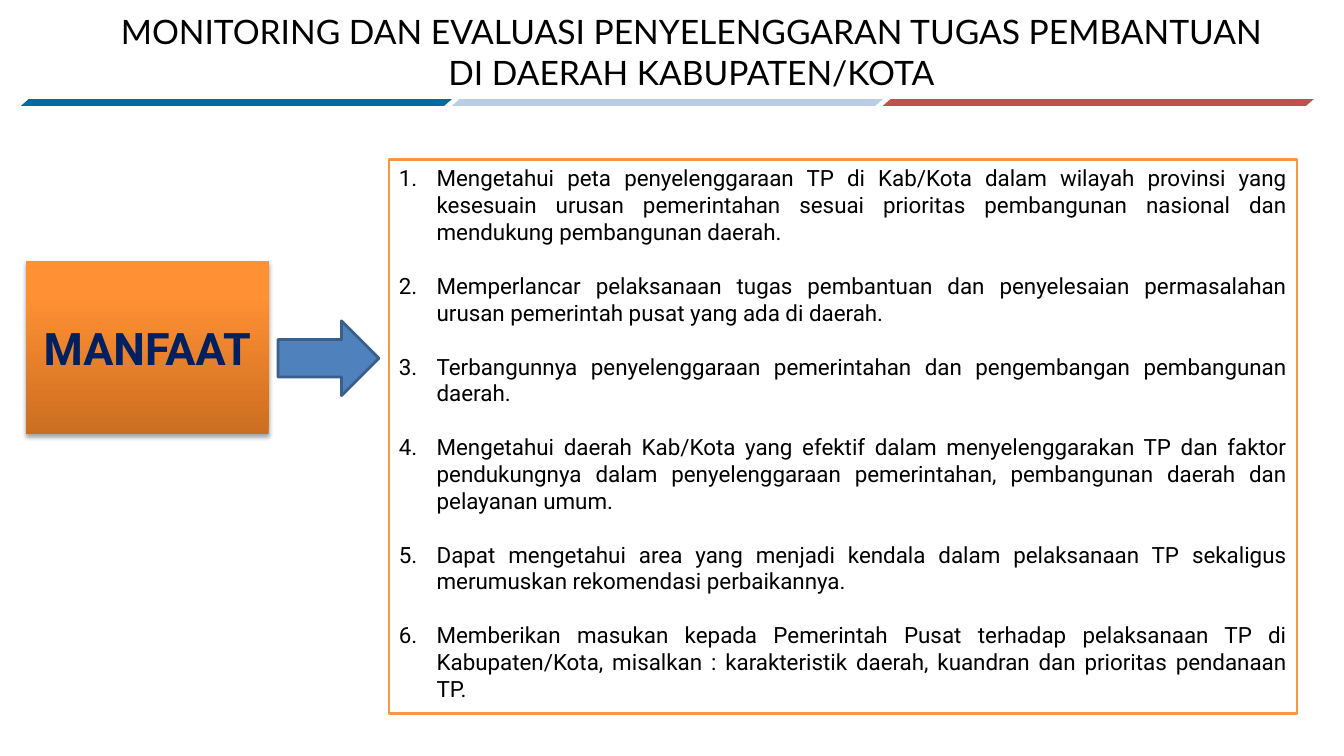
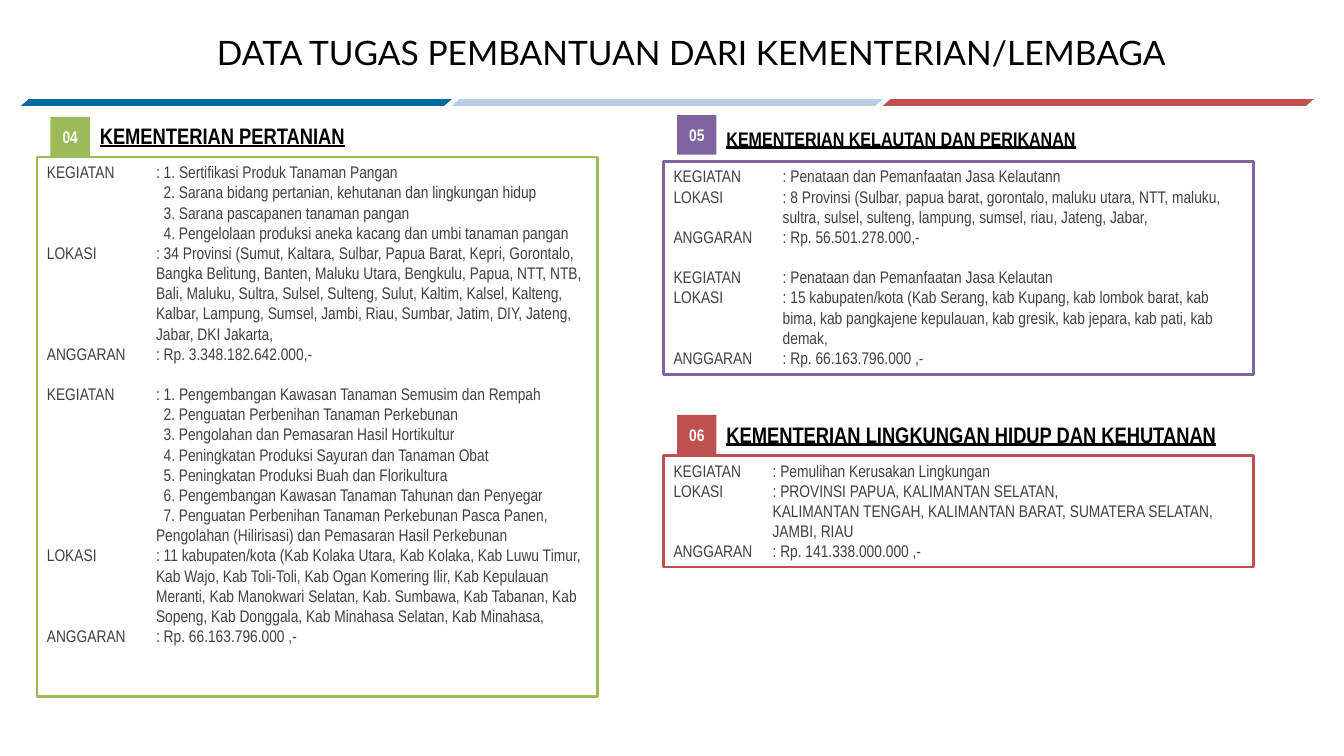
from dataclasses import dataclass

from lxml import etree
from pptx import Presentation
from pptx.dml.color import RGBColor
from pptx.enum.shapes import MSO_SHAPE
from pptx.enum.text import MSO_ANCHOR, PP_ALIGN
from pptx.oxml.ns import qn
from pptx.util import Inches, Pt

RECT = MSO_SHAPE.RECTANGLE
ARROW = MSO_SHAPE.RIGHT_ARROW
BAND = MSO_SHAPE.PARALLELOGRAM
TOP, MIDDLE = MSO_ANCHOR.TOP, MSO_ANCHOR.MIDDLE
LEFT, CENTER, JUSTIFY = PP_ALIGN.LEFT, PP_ALIGN.CENTER, PP_ALIGN.JUSTIFY

WIDTH, HEIGHT = Inches(13.33), Inches(7.5)
COLUMNS, ROWS = 160, 90


@dataclass(frozen=True)
class Style:
    size: float
    font: str
    color: str
    bold: bool = False
    underline: bool = False


@dataclass(frozen=True)
class Theme:
    white: str = "FFFFFF"
    green: str = "9BBB59"
    purple: str = "8064A2"
    red: str = "C0504D"
    orange: str = "F79646"
    arrow: str = "4F81BD"
    arrow_edge: str = "3A5F8C"
    shadow: str = "000000"
    bands: tuple = ("016AA3", "B9CDE5", "C0504D")
    benefit_gradient: tuple = ((0, "CC6E20"), (0.8, "FF9034"))
    title: Style = Style(24, "Lato", "000000")
    benefit: Style = Style(32, "Roboto", "002060", bold=True)
    item: Style = Style(16, "Roboto", "000000")
    detail: Style = Style(12, "Arial Narrow", "404040")
    tag: Style = Style(12, "Arial Narrow", "FFFFFF", bold=True)
    heading: Style = Style(16, "Arial Narrow", "000000", True, True)
    small_heading: Style = Style(14, "Arial Narrow", "000000", True, True)
    item_gap: float = 19.2
    record_gap: float = 14.4


THEME = Theme()

BENEFITS = (
    "Mengetahui peta penyelenggaraan TP di Kab/Kota dalam wilayah provinsi yang kesesuain urusan "
    "pemerintahan sesuai prioritas pembangunan nasional dan mendukung pembangunan daerah.",
    "Memperlancar pelaksanaan tugas pembantuan dan penyelesaian permasalahan urusan pemerintah "
    "pusat yang ada di daerah.",
    "Terbangunnya penyelenggaraan pemerintahan dan pengembangan pembangunan daerah.",
    "Mengetahui daerah Kab/Kota yang efektif dalam menyelenggarakan TP dan faktor pendukungnya "
    "dalam penyelenggaraan pemerintahan, pembangunan daerah dan pelayanan umum.",
    "Dapat mengetahui area yang menjadi kendala dalam pelaksanaan TP sekaligus merumuskan "
    "rekomendasi perbaikannya.",
    "Memberikan masukan kepada Pemerintah Pusat terhadap pelaksanaan TP di Kabupaten/Kota, "
    "misalkan : karakteristik daerah, kuandran dan prioritas pendanaan TP.",
)

AGRICULTURE = (
    (
        ("1. Sertifikasi Produk Tanaman Pangan",
         "2. Sarana bidang pertanian, kehutanan dan lingkungan hidup",
         "3. Sarana pascapanen tanaman pangan",
         "4. Pengelolaan produksi aneka kacang dan umbi tanaman pangan"),
        "34 Provinsi (Sumut, Kaltara, Sulbar, Papua Barat, Kepri, Gorontalo, Bangka Belitung, "
        "Banten, Maluku Utara, Bengkulu, Papua, NTT, NTB, Bali, Maluku, Sultra, Sulsel, Sulteng, "
        "Sulut, Kaltim, Kalsel, Kalteng, Kalbar, Lampung, Sumsel, Jambi, Riau, Sumbar, Jatim, "
        "DIY, Jateng, Jabar, DKI Jakarta,",
        "Rp. 3.348.182.642.000,-",
    ),
    (
        ("1. Pengembangan Kawasan Tanaman Semusim dan Rempah",
         "2. Penguatan Perbenihan Tanaman Perkebunan",
         "3. Pengolahan dan Pemasaran Hasil Hortikultur",
         "4. Peningkatan Produksi Sayuran dan Tanaman Obat",
         "5. Peningkatan Produksi Buah dan Florikultura",
         "6. Pengembangan Kawasan Tanaman Tahunan dan Penyegar",
         "7. Penguatan Perbenihan Tanaman Perkebunan Pasca Panen, Pengolahan (Hilirisasi) dan "
         "Pemasaran Hasil Perkebunan"),
        "11 kabupaten/kota (Kab Kolaka Utara, Kab Kolaka, Kab Luwu Timur, Kab Wajo, Kab Toli-Toli, "
        "Kab Ogan Komering Ilir, Kab Kepulauan Meranti, Kab Manokwari Selatan, Kab. Sumbawa, "
        "Kab Tabanan, Kab Sopeng, Kab Donggala, Kab Minahasa Selatan, Kab Minahasa,",
        "Rp. 66.163.796.000 ,-",
    ),
)

FISHERIES = (
    (
        ("Penataan dan Pemanfaatan Jasa Kelautann",),
        "8 Provinsi (Sulbar, papua barat, gorontalo, maluku utara, NTT, maluku, sultra, sulsel, "
        "sulteng, lampung, sumsel, riau, Jateng, Jabar,",
        "Rp. 56.501.278.000,-",
    ),
    (
        ("Penataan dan Pemanfaatan Jasa Kelautan",),
        "15 kabupaten/kota (Kab Serang, kab Kupang, kab lombok barat, kab bima, kab pangkajene "
        "kepulauan, kab gresik, kab jepara, kab pati, kab demak,",
        "Rp. 66.163.796.000 ,-",
    ),
)

FORESTRY = (
    (
        ("Pemulihan Kerusakan Lingkungan",),
        "PROVINSI PAPUA, KALIMANTAN SELATAN,\n"
        "KALIMANTAN TENGAH, KALIMANTAN BARAT, SUMATERA SELATAN, JAMBI, RIAU",
        "Rp. 141.338.000.000 ,-",
    ),
)


def cols(count):
    return round(WIDTH * count / COLUMNS)


def rows(count):
    return round(HEIGHT * count / ROWS)


def place(left, top, width, height):
    return cols(left), rows(top), cols(width), rows(height)


def rgb(color):
    return RGBColor.from_string(color)


def add_block(slide, kind, area, fill=None, edge=None):
    block = slide.shapes.add_shape(kind, *place(*area))
    block.shadow.inherit = False
    if fill:
        block.fill.solid()
        block.fill.fore_color.rgb = rgb(fill)
    if edge:
        block.line.color.rgb = rgb(edge)
        block.line.width = Pt(2)
    else:
        block.line.fill.background()
    return block


def set_frame(block, anchor=TOP, wrap=True, margin=None):
    frame = block.text_frame
    frame.word_wrap = wrap
    frame.vertical_anchor = anchor
    if margin is not None:
        frame.margin_left = frame.margin_right = margin
        frame.margin_top = frame.margin_bottom = margin
    return frame


def add_paragraph(frame, text, style, align=LEFT, gap=0, hang=0, first=0):
    started = bool(frame.paragraphs[0].runs)
    paragraph = frame.add_paragraph() if started else frame.paragraphs[0]
    paragraph.alignment = align
    paragraph.space_before = Pt(gap if started else 0)
    if hang:
        properties = paragraph._p.get_or_add_pPr()
        properties.set("marL", str(cols(hang)))
        properties.set("indent", str(cols(first)))
    for index, line in enumerate(text.split("\n")):
        if index:
            paragraph.add_line_break()
        run = paragraph.add_run()
        run.text = line
        run.font.size = Pt(style.size)
        run.font.name = style.font
        run.font.bold = style.bold
        run.font.underline = style.underline
        run.font.color.rgb = rgb(style.color)
    return paragraph


def add_header(slide, *lines):
    title = slide.shapes.add_textbox(*place(4.8, 0, 155, 12.3))
    frame = set_frame(title, MIDDLE)
    for line in lines:
        add_paragraph(frame, line, THEME.title, CENTER)
    band_width = 51.3
    for index, color in enumerate(THEME.bands):
        area = (2.5 + index * band_width, 11.8, band_width, 0.8)
        band = add_block(slide, BAND, area, color)
        band.adjustments[0] = 1.144


def add_numbered_list(slide, area, items):
    panel = add_block(slide, RECT, area, THEME.white, THEME.orange)
    frame = set_frame(panel)
    for item in items:
        paragraph = add_paragraph(frame, item, THEME.item, JUSTIFY, THEME.item_gap, 4.5, -4.5)
        properties = paragraph._p.get_or_add_pPr()
        etree.SubElement(properties, qn("a:buFont"), typeface="+mj-lt")
        etree.SubElement(properties, qn("a:buAutoNum"), type="arabicPeriod")


def add_soft_shadow(block):
    effects = block._element.spPr.find(qn("a:effectLst"))
    shadow = etree.SubElement(
        effects, qn("a:outerShdw"), blurRad=str(Pt(3.1)), dist=str(Pt(1.8)),
        dir="5400000", rotWithShape="0")
    color = etree.SubElement(shadow, qn("a:srgbClr"), val=THEME.shadow)
    etree.SubElement(color, qn("a:alpha"), val="35000")


def add_benefit_label(slide, area, text):
    label = add_block(slide, RECT, area)
    label.fill.gradient()
    label.fill.gradient_angle = 90
    for stop, (position, color) in zip(label.fill.gradient_stops, THEME.benefit_gradient):
        stop.position = position
        stop.color.rgb = rgb(color)
    add_soft_shadow(label)
    add_paragraph(set_frame(label, MIDDLE, wrap=False), text, THEME.benefit, CENTER)


def add_record(frame, record, hang):
    activities, places, budget = record
    fields = (("KEGIATAN", activities), ("LOKASI", (places,)), ("ANGGARAN", (budget,)))
    for label, (lead, *others) in fields:
        gap = THEME.record_gap if label == "KEGIATAN" else 0
        add_paragraph(frame, f"{label}\t: {lead}", THEME.detail, gap=gap, hang=hang, first=-hang)
        for other in others:
            add_paragraph(frame, other, THEME.detail, hang=hang, first=0.9)


def add_ministry(slide, area, number, name, color, records,
                 hang=13, tag_rise=4.8, heading=THEME.heading):
    left, top, width, _ = area
    panel = add_block(slide, RECT, area, THEME.white, color)
    frame = set_frame(panel)
    for record in records:
        add_record(frame, record, hang)
    tag = add_block(slide, RECT, (left + 1.6, top - tag_rise, 4.7, 4.7), color)
    add_paragraph(set_frame(tag, MIDDLE, margin=0), number, THEME.tag, CENTER)
    caption = slide.shapes.add_textbox(*place(left + 6.3, top - 4.7, width - 6.3, 4.4))
    add_paragraph(set_frame(caption, wrap=False), name, heading)


def build_benefits(slide):
    add_numbered_list(slide, (46.3, 19, 108.1, 65.9), BENEFITS)
    add_benefit_label(slide, (3.1, 31.1, 28.9, 20.6), "MANFAAT")
    add_block(slide, ARROW, (33.1, 38.2, 12, 8.9), THEME.arrow, THEME.arrow_edge)
    add_header(slide, "MONITORING DAN EVALUASI PENYELENGGARAN TUGAS PEMBANTUAN",
               "DI DAERAH KABUPATEN/KOTA")


def build_ministries(slide):
    add_header(slide, "DATA TUGAS PEMBANTUAN DARI KEMENTERIAN/LEMBAGA")
    add_ministry(slide, (4.4, 18.7, 66.7, 64.2), "04", "KEMENTERIAN PERTANIAN",
                 THEME.green, AGRICULTURE)
    add_ministry(slide, (79, 19.2, 70.2, 25.4), "05", "KEMENTERIAN KELAUTAN DAN PERIKANAN",
                 THEME.purple, FISHERIES, tag_rise=5.5, heading=THEME.small_heading)
    add_ministry(slide, (79, 54.2, 70.2, 13.3), "06",
                 "KEMENTERIAN LINGKUNGAN HIDUP DAN KEHUTANAN",
                 THEME.red, FORESTRY, hang=11.8)


def main():
    deck = Presentation()
    deck.slide_width, deck.slide_height = WIDTH, HEIGHT
    blank = deck.slide_layouts[6]
    for build in (build_benefits, build_ministries):
        build(deck.slides.add_slide(blank))
    deck.save("out.pptx")


if __name__ == "__main__":
    main()
